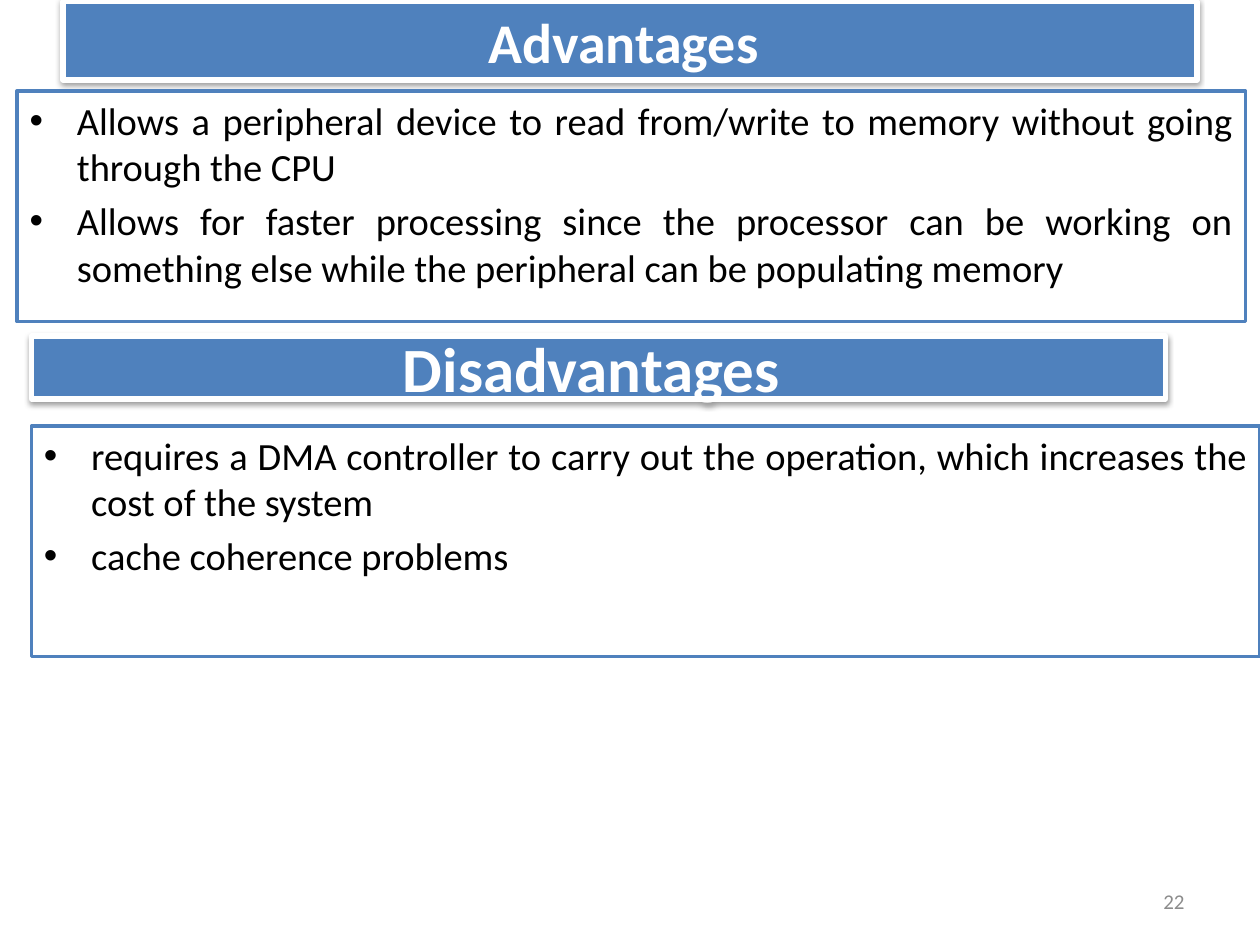
import pptx
import pptx.dml.color
import pptx.enum.shapes
import pptx.enum.text
import pptx.oxml
import pptx.oxml.ns
import pptx.util
from lxml import etree

Pt = pptx.util.Pt
RGBColor = pptx.dml.color.RGBColor
ALIGN = pptx.enum.text.PP_ALIGN
ANCHOR = pptx.enum.text.MSO_ANCHOR

BLUE = RGBColor(0x4F, 0x81, 0xBD)
WHITE = RGBColor(0xFF, 0xFF, 0xFF)
BLACK = RGBColor(0x00, 0x00, 0x00)
GRAY = RGBColor(0x8C, 0x8C, 0x8C)

BULLET_INDENT = Pt(27)
HEADING_WIDTH = 648
LIST_WIDTH, LIST_HEIGHT = 702, 131.75

ADVANTAGES = [
    "Allows a peripheral device to read from/write to memory without going through the CPU",
    "Allows for faster processing since the processor can be working on something else "
    "while the peripheral can be populating memory",
]
DISADVANTAGES = [
    "requires a DMA controller to carry out the operation, which increases the cost of the system",
    "cache coherence problems",
]


def apply_format(target, values):
    for name, value in values.items():
        setattr(target, name, value)


def place(box, left, top, width, height):
    apply_format(box, {"left": Pt(left), "top": Pt(top),
                       "width": Pt(width), "height": Pt(height)})


def paint(box, fill, line, line_width):
    box.fill.solid()
    box.fill.fore_color.rgb = fill
    box.line.color.rgb = line
    box.line.width = Pt(line_width)


def write(paragraph, text, size, color, alignment, bold=False):
    paragraph.text = text
    paragraph.alignment = alignment
    apply_format(paragraph.font, {"name": "Calibri", "size": Pt(size), "bold": bold})
    paragraph.font.color.rgb = color


def set_frame(frame, anchor):
    apply_format(frame, {"word_wrap": True, "vertical_anchor": anchor,
                         "auto_size": pptx.enum.text.MSO_AUTO_SIZE.NONE})


def add_soft_shadow(box):
    """Cast a blurred black shadow straight down."""
    box.shadow.inherit = False
    effects = box._element.spPr.find(pptx.oxml.ns.qn("a:effectLst"))
    effects.append(pptx.oxml.parse_xml(
        f'<a:outerShdw {pptx.oxml.ns.nsdecls("a")} blurRad="{Pt(3.1)}" dist="{Pt(1.6)}" '
        'dir="5400000" rotWithShape="0"><a:srgbClr val="000000">'
        '<a:alpha val="38000"/></a:srgbClr></a:outerShdw>'))


def add_bullet(paragraph):
    properties = paragraph._p.get_or_add_pPr()
    properties.set("marL", str(BULLET_INDENT))
    properties.set("indent", str(-BULLET_INDENT))
    for tag, attribute, value in (("a:buFont", "typeface", "Arial"),
                                  ("a:buChar", "char", "•")):
        etree.SubElement(properties, pptx.oxml.ns.qn(tag)).set(attribute, value)


def format_heading(box, text, size, left, top, height):
    place(box, left, top, HEADING_WIDTH, height)
    paint(box, BLUE, WHITE, 3)
    add_soft_shadow(box)
    set_frame(box.text_frame, ANCHOR.MIDDLE)
    write(box.text_frame.paragraphs[0], text, size, WHITE, ALIGN.CENTER, bold=True)


def format_list(box, items, left, top):
    place(box, left, top, LIST_WIDTH, LIST_HEIGHT)
    paint(box, WHITE, BLUE, 2)
    box.shadow.inherit = False
    frame = box.text_frame
    set_frame(frame, ANCHOR.TOP)
    for index, item in enumerate(items):
        paragraph = frame.add_paragraph() if index else frame.paragraphs[0]
        add_bullet(paragraph)
        write(paragraph, item, 22, BLACK, ALIGN.JUSTIFY)
        paragraph.space_before = Pt(4.4 if index else 0)


def add_rectangle(slide):
    return slide.shapes.add_shape(pptx.enum.shapes.MSO_SHAPE.RECTANGLE, 0, 0, Pt(72), Pt(72))


def add_page_number(slide, number):
    box = slide.shapes.add_textbox(Pt(516), Pt(500.5), Pt(168), Pt(28.75))
    set_frame(box.text_frame, ANCHOR.MIDDLE)
    write(box.text_frame.paragraphs[0], number, 12, GRAY, ALIGN.RIGHT)


def main():
    presentation = pptx.Presentation()
    apply_format(presentation, {"slide_width": Pt(720), "slide_height": Pt(540)})
    slide = presentation.slides.add_slide(presentation.slide_layouts[1])

    format_heading(slide.shapes.title, "Advantages ", 32, 36, 0.75, 45)
    format_list(slide.placeholders[1], ADVANTAGES, 9.75, 52)
    add_page_number(slide, "22")
    format_heading(add_rectangle(slide), "Disadvantages ", 36, 18, 192, 36)
    format_list(add_rectangle(slide), DISADVANTAGES, 18, 243.5)

    presentation.save("out.pptx")


if __name__ == "__main__":
    main()
